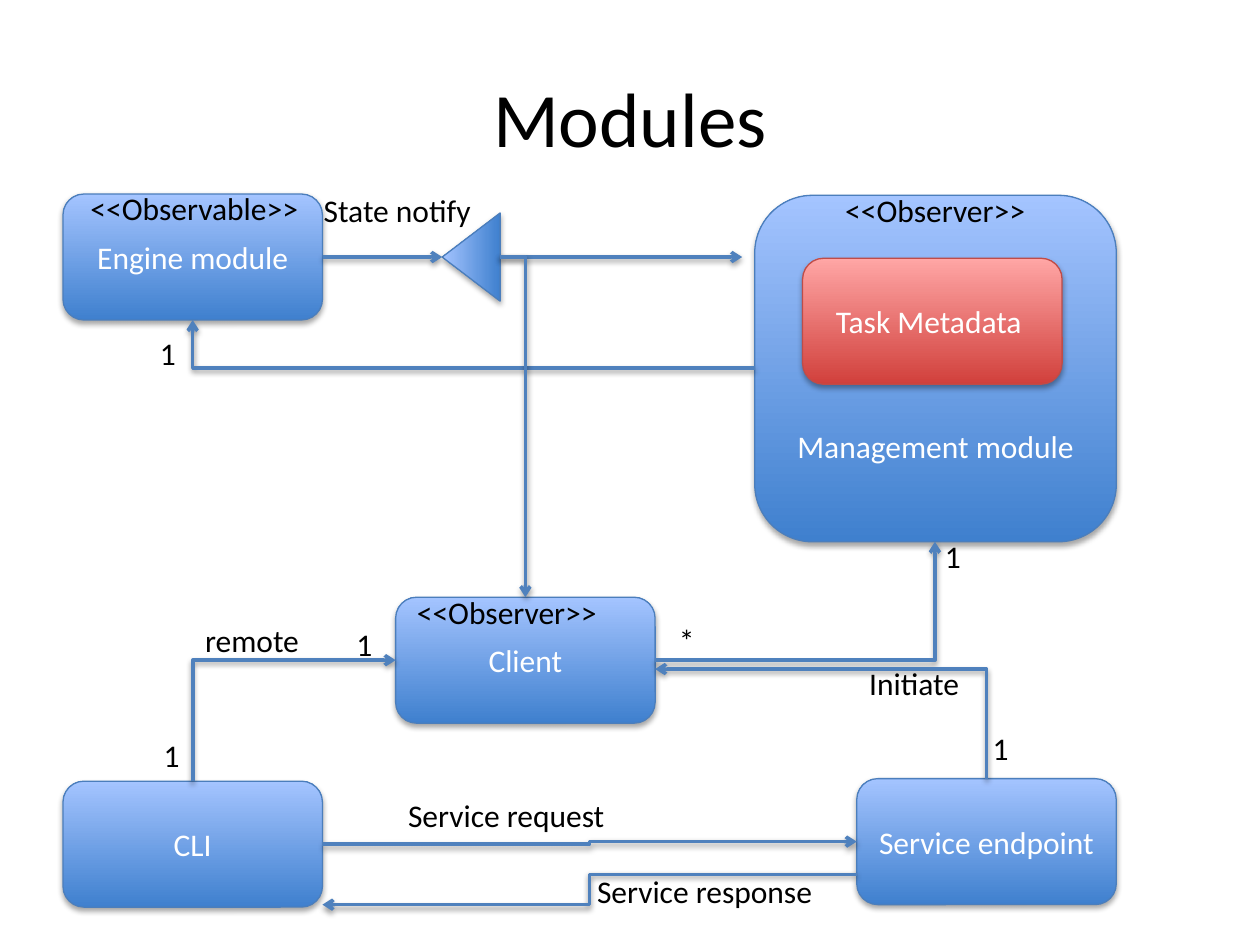
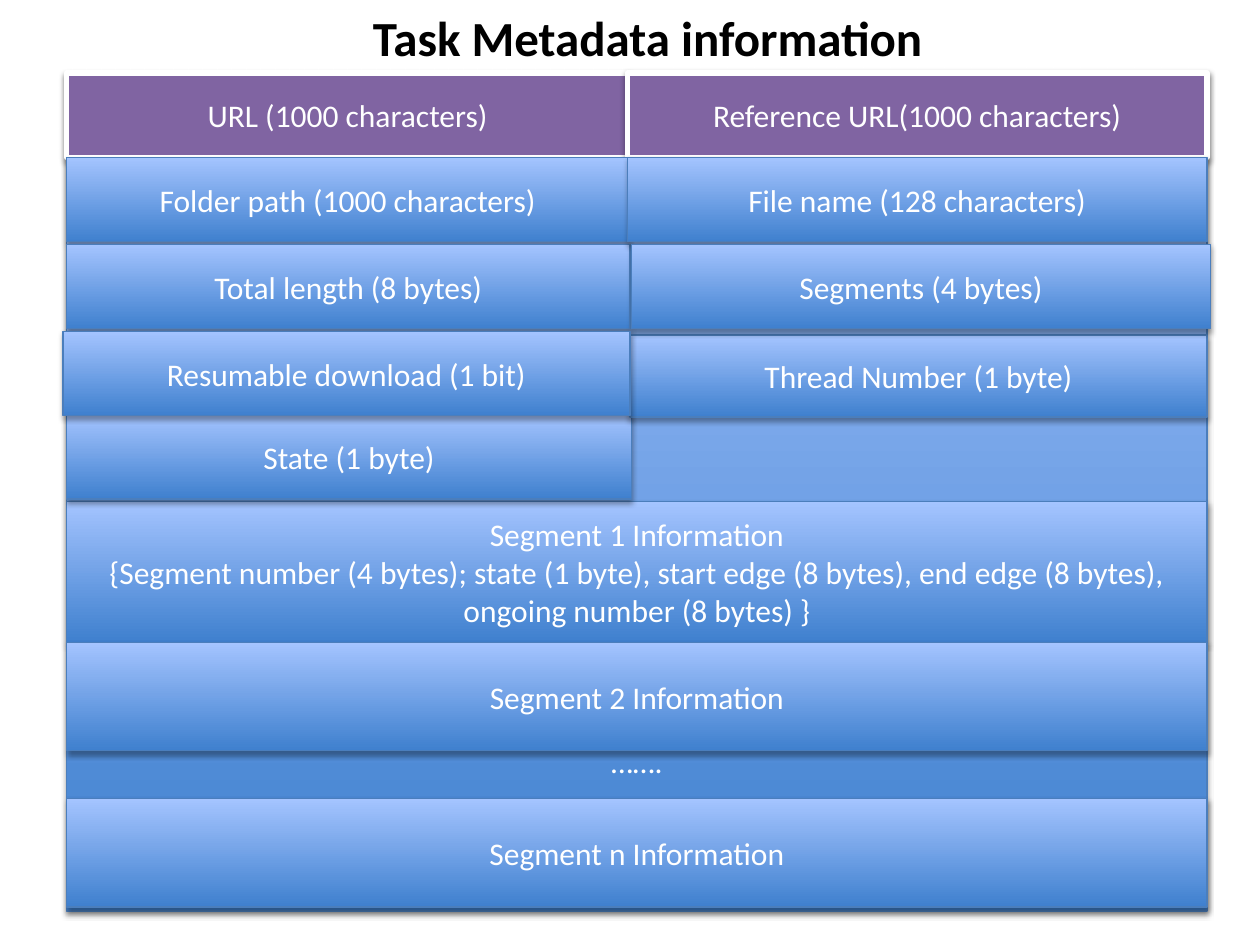
from pptx import Presentation
from pptx.dml.color import RGBColor
from pptx.enum.dml import MSO_FILL
from pptx.enum.shapes import MSO_CONNECTOR, MSO_SHAPE, MSO_SHAPE_TYPE
from pptx.enum.text import MSO_ANCHOR, PP_ALIGN
from pptx.oxml import parse_xml
from pptx.oxml.ns import nsdecls
from pptx.util import Pt

PX = 914400 // 100
BLUE = ("3F80CE", "A4C4FF", "4B7EBC")
RED = ("D1403C", "FFA6A5", "BF4C48")
PURPLE = ("8064A2", None, "FFFFFF")
LINK, INK, WHITE = "4F81BD", "000000", "FFFFFF"
rgb = RGBColor.from_string


def set_text(sp, text, color=INK, size=18, bold=False, align=PP_ALIGN.LEFT):
    sp.text_frame.text = text
    for p in sp.text_frame.paragraphs:
        p.alignment = align
        for r in p.runs:
            r.font.name, r.font.size, r.font.bold = "Calibri", Pt(size), bold
            r.font.color.rgb = rgb(color)


def add_box(s, kind, text, x, y, w, h, colors=BLUE, top=5):
    sp = s.shapes.add_shape(kind, x * PX, y * PX, w * PX, h * PX)
    start, end, edge = colors
    if end:
        sp.fill.gradient()
        sp.fill.gradient_angle = 90
        for stop, color in zip(sp.fill.gradient_stops, (start, end)):
            stop.color.rgb = rgb(color)
    else:
        sp.fill.solid()
        sp.fill.fore_color.rgb = rgb(start)
    sp.line.color.rgb = rgb(edge)
    sp.line.width = Pt(0.75 if end else 3)
    sp.text_frame.word_wrap = True
    sp.text_frame.margin_top = top * PX
    sp.text_frame.vertical_anchor = MSO_ANCHOR.MIDDLE
    set_text(sp, text, WHITE, align=PP_ALIGN.CENTER)
    return sp


prs = Presentation()
prs.slide_width, prs.slide_height = 1000 * PX, 750 * PX
titles = [
    ("Modules", 50, 30, 900, 125, 44, False, PP_ALIGN.CENTER, MSO_ANCHOR.MIDDLE),
    ("Task Metadata information", 286, 1, 467, 57, 28, True, PP_ALIGN.LEFT, MSO_ANCHOR.TOP),
]
for text, x, y, w, h, size, bold, align, anchor in titles:
    s = prs.slides.add_slide(prs.slide_layouts[5])
    sp = s.shapes.title
    sp.left, sp.top, sp.width, sp.height = x * PX, y * PX, w * PX, h * PX
    sp.text_frame.vertical_anchor = anchor
    sp.text_frame.word_wrap = align == PP_ALIGN.CENTER
    set_text(sp, text, INK, size, bold, align)

modules, metadata = prs.slides

add_box(modules, MSO_SHAPE.ROUNDED_RECTANGLE, "Management module", 599, 155, 287, 275, top=127)
for text, x, y, colors in [
    ("Task Metadata ", 637, 205, RED),
    ("Engine module", 50, 154, BLUE),
    ("Service endpoint", 680, 618, BLUE),
    ("CLI", 50, 620, BLUE),
    ("Client", 314, 474, BLUE),
]:
    add_box(modules, MSO_SHAPE.ROUNDED_RECTANGLE, text, x, y, 206, 100, colors)
triangle = add_box(modules, MSO_SHAPE.ISOSCELES_TRIANGLE, "", 339, 181, 70, 46)
triangle.rotation = 270

for route, x1, y1, x2, y2 in [
    ("middle", 256, 670, 680, 668),
    ("middle", 680, 694, 256, 718),
    ("vertical first", 153, 620, 314, 524),
    ("horizontal first", 520, 524, 742, 430),
    ("horizontal first", 599, 292, 153, 254),
    ("vertical first", 783, 618, 520, 531),
    ("middle", 256, 204, 351, 204),
    ("middle", 397, 204, 589, 204),
    ("horizontal first", 397, 204, 417, 474),
]:
    ends = [v * PX for v in (x1, y1, x2, y2)]
    if route == "vertical first":
        cx, cy = (x1 + x2) * PX // 2, (y1 + y2) * PX // 2
        dx, dy = (x2 - x1) * PX // 2, (y2 - y1) * PX // 2
        ends = [cx - dy, cy + dx, cx + dy, cy - dx]
    link = modules.shapes.add_connector(MSO_CONNECTOR.ELBOW, *ends)
    spPr = link.element.spPr
    if route == "vertical first":
        spPr.xfrm.set("rot", "5400000")
    if route != "middle":
        spPr.xpath("a:prstGeom")[0].set("prst", "bentConnector2")
    link.line.color.rgb = rgb(LINK)
    link.line.width = Pt(2)
    link.line._get_or_add_ln().append(parse_xml(f'<a:tailEnd {nsdecls("a")} type="arrow"/>'))

for text, x, y, w in [
    ("Service request", 314, 627, 179),
    ("Service response", 464, 687, 193),
    ("1", 120, 579, 33),
    ("1", 273, 491, 33),
    ("*", 529, 488, 33),
    ("1", 778, 574, 33),
    ("1", 740, 421, 33),
    ("1", 117, 260, 33),
    ("<<Observable>>", 62, 145, 187),
    ("<<Observer>>", 321, 466, 165),
    ("<<Observer>>", 661, 147, 165),
    ("State notify", 247, 147, 139),
    ("remote", 153, 488, 96),
    ("Initiate", 680, 522, 93),
]:
    sp = modules.shapes.add_textbox(x * PX, y * PX, w * PX, 40 * PX)
    sp.text_frame.word_wrap = False
    set_text(sp, text)

add_box(metadata, MSO_SHAPE.RECTANGLE, "…….", 53, 58, 905, 665, top=432)
segment = (
    "Segment 1 Information\n{Segment number (4 bytes); state (1 byte), start edge (8 bytes), "
    "end edge (8 bytes), ongoing number (8 bytes) }"
)
for text, x, y, w, h, colors in [
    ("URL (1000 characters)", 53, 58, 446, 67, PURPLE),
    ("Reference URL(1000 characters)", 498, 58, 460, 67, PURPLE),
    ("Folder path (1000 characters)", 53, 125, 446, 67, BLUE),
    ("Total length (8 bytes)", 53, 194, 447, 67, BLUE),
    (segment, 53, 398, 905, 112, BLUE),
    ("Segment 2 Information", 53, 510, 905, 86, BLUE),
    ("Segment n Information", 53, 634, 905, 86, BLUE),
    ("State (1 byte)", 53, 329, 448, 67, BLUE),
    ("Thread Number (1 byte)", 500, 266, 458, 65, BLUE),
    ("File name (128 characters)", 498, 125, 460, 67, BLUE),
    ("Segments (4 bytes)", 501, 194, 460, 67, BLUE),
    ("Resumable download (1 bit)", 50, 263, 450, 67, BLUE),
]:
    add_box(metadata, MSO_SHAPE.RECTANGLE, text, x, y, w, h, colors)

for s in prs.slides:
    for sp in s.shapes:
        if sp.shape_type not in (MSO_SHAPE_TYPE.AUTO_SHAPE, MSO_SHAPE_TYPE.LINE):
            continue
        flat = sp.shape_type == MSO_SHAPE_TYPE.LINE or sp.fill.type == MSO_FILL.SOLID
        dist, alpha = (20000, 38000) if flat else (23000, 35000)
        sp.element.spPr.append(parse_xml(
            f'<a:effectLst {nsdecls("a")}><a:outerShdw blurRad="40000" dist="{dist}" '
            f'dir="5400000" rotWithShape="0"><a:srgbClr val="000000"><a:alpha val="{alpha}"/>'
            "</a:srgbClr></a:outerShdw></a:effectLst>"
        ))

prs.save("out.pptx")
